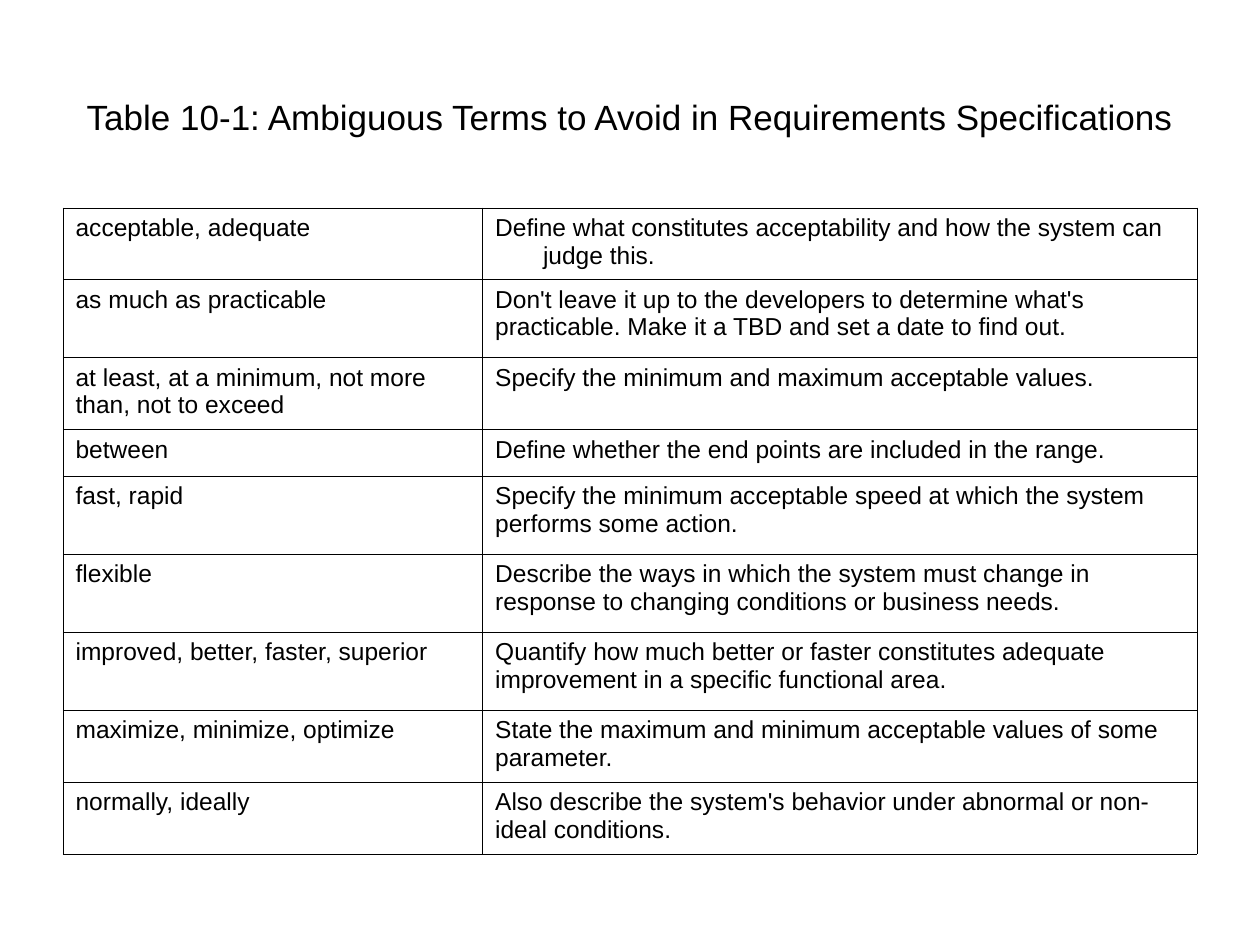
from lxml import etree
from pptx import Presentation
from pptx.dml.color import RGBColor
from pptx.enum.text import MSO_ANCHOR, PP_ALIGN
from pptx.oxml.ns import qn
from pptx.util import Inches, Pt

CENTER, LEFT = PP_ALIGN.CENTER, PP_ALIGN.LEFT
MIDDLE = MSO_ANCHOR.MIDDLE
COLORS = {"text": "000000", "border": "000000", "background": "FFFFFF"}
BORDER_WIDTH = Pt(0.34)
HANGING_INDENT = Inches(0.38)
COLUMN_WIDTHS = (3.33, 5.67)

# Row height, ambiguous term, advice
TERMS = [
    (0.57, "acceptable, adequate",
     "Define what constitutes acceptability and how the system can judge this."),
    (0.62, "as much as practicable",
     "Don't leave it up to the developers to determine what's practicable. "
     "Make it a TBD and set a date to find out."),
    (0.57, "at least, at a minimum, not more than, not to exceed",
     "Specify the minimum and maximum acceptable values."),
    (0.37, "between",
     "Define whether the end points are included in the range."),
    (0.62, "fast, rapid",
     "Specify the minimum acceptable speed at which the system performs some action."),
    (0.62, "flexible",
     "Describe the ways in which the system must change in response to "
     "changing conditions or business needs."),
    (0.62, "improved, better, faster, superior",
     "Quantify how much better or faster constitutes adequate improvement "
     "in a specific functional area."),
    (0.57, "maximize, minimize, optimize",
     "State the maximum and minimum acceptable values of some parameter."),
    (0.57, "normally, ideally",
     "Also describe the system's behavior under abnormal or non-ideal conditions."),
]


class SlideBuilder:
    def __init__(self, slide, font_name="Arial"):
        self.slide = slide
        self.font_name = font_name
        background = slide.background.fill
        background.solid()
        background.fore_color.rgb = RGBColor.from_string(COLORS["background"])

    def add_text(self, paragraph, text, size, alignment=LEFT):
        paragraph.alignment = alignment
        run = paragraph.add_run()
        run.text = text
        for name, value in {"name": self.font_name, "size": Pt(size)}.items():
            setattr(run.font, name, value)
        run.font.color.rgb = RGBColor.from_string(COLORS["text"])

    def add_title(self, text, left, top, width, height):
        box = self.slide.shapes.add_textbox(*map(Inches, (left, top, width, height)))
        frame = box.text_frame
        for name, value in {"word_wrap": True, "vertical_anchor": MIDDLE}.items():
            setattr(frame, name, value)
        self.add_text(frame.paragraphs[0], text, 20, CENTER)

    def add_borders(self, cell):
        properties = cell._tc.get_or_add_tcPr()
        for side in ("lnL", "lnR", "lnT", "lnB"):
            line = etree.SubElement(properties, qn(f"a:{side}"), w=str(BORDER_WIDTH))
            fill = etree.SubElement(line, qn("a:solidFill"))
            etree.SubElement(fill, qn("a:srgbClr"), val=COLORS["border"])

    def add_table(self, rows, column_widths, left, top):
        heights = [height for height, *_ in rows]
        table = self.slide.shapes.add_table(
            len(rows), len(column_widths), Inches(left), Inches(top),
            Inches(sum(column_widths)), Inches(sum(heights))).table
        for name in ("first_row", "horz_banding"):
            setattr(table, name, False)
        for column, width in zip(table.columns, column_widths):
            column.width = Inches(width)
        for row, (height, *texts) in zip(table.rows, rows):
            row.height = Inches(height)
            for cell, text in zip(row.cells, texts):
                self.add_borders(cell)
                cell.fill.background()
                self.add_text(cell.text_frame.paragraphs[0], text, 14)
        return table

    def hang(self, cell):
        """Indent every line of the cell after the first."""
        properties = cell.text_frame.paragraphs[0]._p.get_or_add_pPr()
        properties.set("marL", str(HANGING_INDENT))
        properties.set("indent", str(-HANGING_INDENT))


def main():
    presentation = Presentation()
    presentation.slide_width, presentation.slide_height = Inches(10), Inches(7.5)
    builder = SlideBuilder(presentation.slides.add_slide(presentation.slide_layouts[6]))
    builder.add_title("Table 10-1: Ambiguous Terms to Avoid in Requirements Specifications",
                      0.5, 0.3, 9, 1.25)
    table = builder.add_table(TERMS, COLUMN_WIDTHS, 0.5, 1.65)
    builder.hang(table.cell(0, 1))
    presentation.save("out.pptx")


if __name__ == "__main__":
    main()
